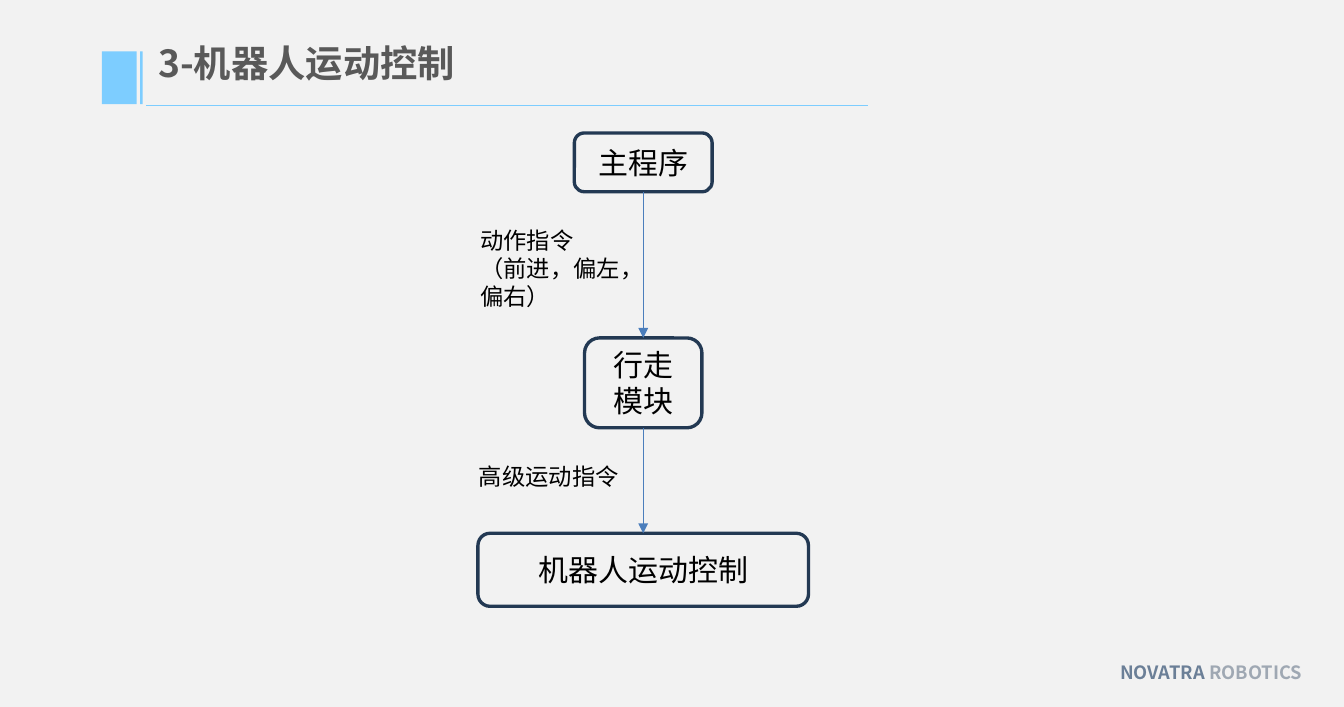
from pptx import Presentation
from pptx.dml.color import RGBColor
from pptx.enum.shapes import MSO_CONNECTOR, MSO_SHAPE
from pptx.enum.text import MSO_ANCHOR, MSO_AUTO_SIZE, PP_ALIGN
from pptx.oxml.ns import qn
from pptx.util import Inches, Pt
from lxml.etree import SubElement

BACKGROUND = RGBColor(0xF2, 0xF2, 0xF2)
SKY = RGBColor(0x7D, 0xCD, 0xFF)
NAVY = RGBColor(0x23, 0x39, 0x53)
ARROW = RGBColor(0x4B, 0x7E, 0xBC)
BLACK = RGBColor(0, 0, 0)
TITLE_GREY = RGBColor(0x59, 0x59, 0x59)
FOOTER_DARK = RGBColor(0x6B, 0x7F, 0x97)
FOOTER_LIGHT = RGBColor(0x9F, 0xA8, 0xB3)

SANS = "Noto Sans CJK SC"
TITLE = "3-机器人运动控制"
FOOTER = [("NOVATRA ", FOOTER_DARK), ("ROBOTICS", FOOTER_LIGHT)]
CENTER_X = 5.37
# text, top, width, height
STEPS = [
    ("主程序", 1.11, 1.15, 0.49),
    ("行走模块", 2.82, 0.98, 0.75),
    ("机器人运动控制", 4.45, 2.76, 0.61),
]
# paragraphs, left, top, width, height
LABELS = [
    (["动作指令", "（前进，偏左，偏右）"], 3.91, 1.84, 1.38, 0.81),
    (["高级运动指令"], 3.9, 3.81, 1.38, 0.34),
]
ACCENT_BARS = [(0.85, 0.29), (1.17, 0.02)]  # left, width

TITLE_STYLE = {"size": Pt(22.4), "name": SANS, "bold": True}
FOOTER_STYLE = {"size": Pt(11), "name": SANS, "bold": True}
STEP_STYLE = {"size": Pt(18), "name": "Calibri"}
LABEL_STYLE = {"size": Pt(14), "name": "Times New Roman"}


def add_run(p, text, style, color, east_asian):
    r = p.add_run()
    r.text = text
    for key, value in style.items():
        setattr(r.font, key, value)
    r.font.color.rgb = color
    SubElement(r.font._element, qn("a:ea")).set("typeface", east_asian)


def add_box(s, kind, left, top, width, height):
    box = s.shapes.add_shape(kind, *map(Inches, (left, top, width, height)))
    box.shadow.inherit = False
    return box


def add_line(s, x1, y1, x2, y2, color, width, arrow=False):
    line = s.shapes.add_connector(
        MSO_CONNECTOR.STRAIGHT, *map(Inches, (x1, y1, x2, y2)))
    line.line.color.rgb = color
    line.line.width = Pt(width)
    if arrow:
        SubElement(line.line._get_or_add_ln(), qn("a:tailEnd")).set("type", "triangle")
    SubElement(line._element.spPr, qn("a:effectLst"))


def add_text_box(s, left, top, width, height):
    tf = s.shapes.add_textbox(*map(Inches, (left, top, width, height))).text_frame
    tf.word_wrap = True
    return tf


def add_header(s):
    add_line(s, 1.22, 0.88, 7.25, 0.88, SKY, 1)
    for left, width in ACCENT_BARS:
        bar = add_box(s, MSO_SHAPE.RECTANGLE, left, 0.43, width, 0.44)
        bar.fill.solid()
        bar.fill.fore_color.rgb = SKY
        bar.line.fill.background()

    title = s.shapes.title
    title.left, title.top, title.width, title.height = map(
        Inches, (1.22, 0.38, 6.28, 0.34))
    tf = title.text_frame
    frame = {"margin_top": 0, "margin_bottom": 0, "word_wrap": True,
             "vertical_anchor": MSO_ANCHOR.TOP, "auto_size": MSO_AUTO_SIZE.NONE}
    for key, value in frame.items():
        setattr(tf, key, value)
    p = tf.paragraphs[0]
    p.alignment = PP_ALIGN.LEFT
    p.line_spacing = 0.9
    add_run(p, TITLE, TITLE_STYLE, TITLE_GREY, SANS)


def add_flow(s):
    for text, top, width, height in STEPS:
        box = add_box(s, MSO_SHAPE.ROUNDED_RECTANGLE,
                      CENTER_X - width / 2, top, width, height)
        box.fill.background()
        box.line.color.rgb = NAVY
        box.line.width = Pt(2)
        tf = box.text_frame
        tf.word_wrap = True
        tf.vertical_anchor = MSO_ANCHOR.MIDDLE
        p = tf.paragraphs[0]
        p.alignment = PP_ALIGN.CENTER
        add_run(p, text, STEP_STYLE, BLACK, "Calibri")

    for (_, top, _, height), (_, next_top, _, _) in zip(STEPS, STEPS[1:]):
        add_line(s, CENTER_X, top + height, CENTER_X, next_top, ARROW, 0.75, arrow=True)

    for lines, *place in LABELS:
        tf = add_text_box(s, *place)
        for i, text in enumerate(lines):
            p = tf.add_paragraph() if i else tf.paragraphs[0]
            add_run(p, text, LABEL_STYLE, BLACK, "Calibri")


def add_footer(s):
    p = add_text_box(s, 8.69, 5.47, 2.28, 0.29).paragraphs[0]
    p.alignment = PP_ALIGN.RIGHT
    for text, color in FOOTER:
        add_run(p, text, FOOTER_STYLE, color, SANS)


def main():
    prs = Presentation()
    prs.slide_width, prs.slide_height = Inches(11.22), Inches(5.9)
    s = prs.slides.add_slide(prs.slide_layouts[5])
    s.background.fill.solid()
    s.background.fill.fore_color.rgb = BACKGROUND
    add_header(s)
    add_flow(s)
    add_footer(s)
    prs.save("out.pptx")


if __name__ == "__main__":
    main()
